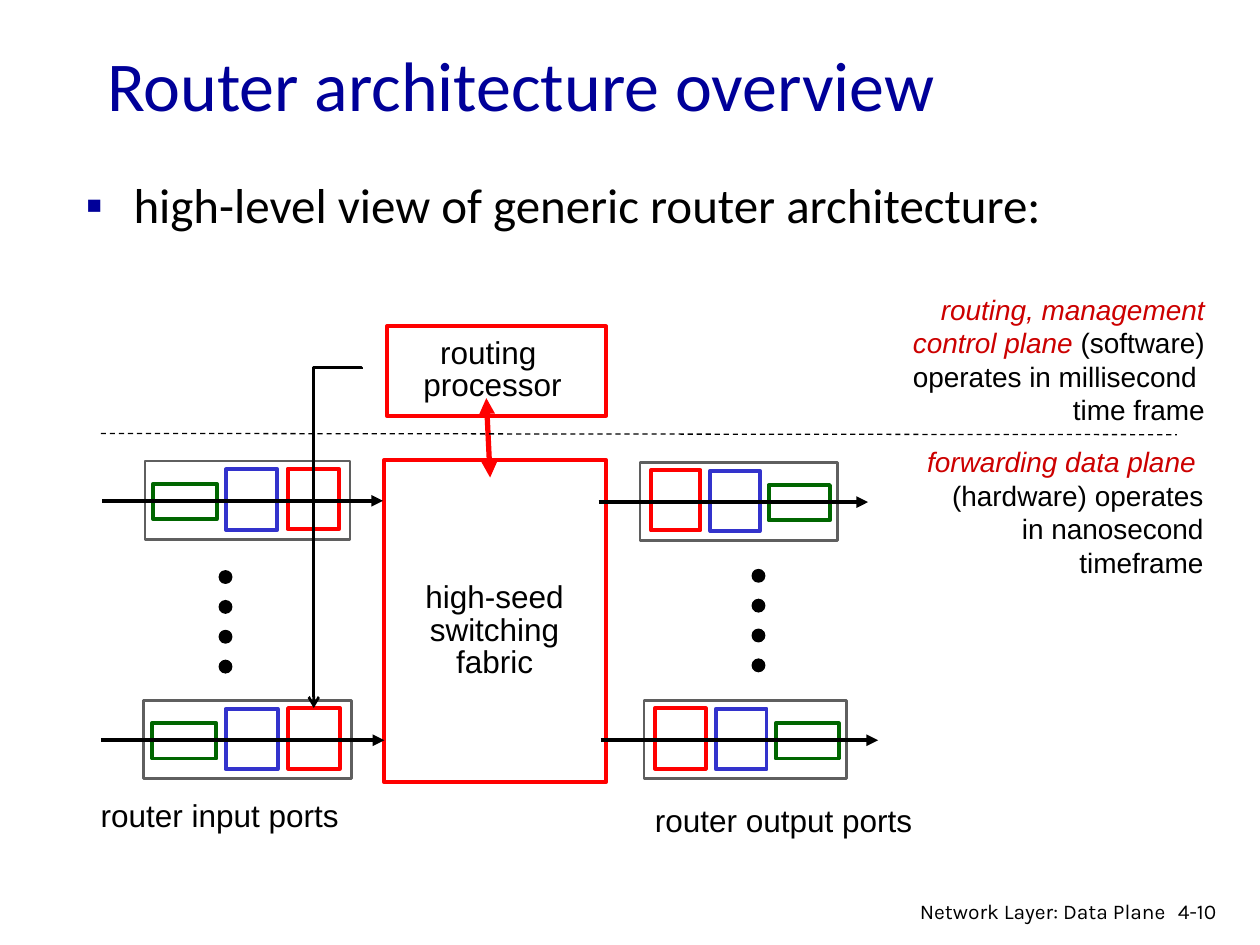
from typing import NamedTuple

from lxml.etree import SubElement
from pptx import Presentation
from pptx.dml.color import RGBColor
from pptx.enum.dml import MSO_LINE
from pptx.enum.shapes import MSO_CONNECTOR, MSO_SHAPE
from pptx.enum.text import MSO_ANCHOR, MSO_AUTO_SIZE, PP_ALIGN
from pptx.oxml.ns import qn
from pptx.util import Emu, Inches, Pt

COLS, ROWS = 100, 75
BLACK, WHITE, RED, NAVY = "000000", "FFFFFF", "FF0000", "000099"
GRAY, GREEN, BLUE, CRIMSON = "5F5F5F", "006600", "3333CC", "CC0000"
LEFT, MID, RIGHT = PP_ALIGN.LEFT, PP_ALIGN.CENTER, PP_ALIGN.RIGHT

deck = Presentation()
deck.slide_width, deck.slide_height = Inches(10), Inches(7.5)
slide = deck.slides.add_slide(deck.slide_layouts[1])
shapes = slide.shapes


class Area(NamedTuple):
    """A region in grid columns and rows."""
    x: float
    y: float
    w: float
    h: float


class Span(NamedTuple):
    """A run of text with its colour and slant."""
    text: str
    color: str = BLACK
    italic: bool = False


class Part(NamedTuple):
    """A stage of a port: shares of its width, then rows."""
    x: float
    w: float
    y: float
    h: float
    color: str


class Port(NamedTuple):
    """A port with the ends of the arrow through it."""
    x: float
    y: float
    w: float
    start: float
    end: float
    mirror: bool


PARTS = [
    Part(0.04, 0.31, 1.8, 2.8, GREEN),
    Part(0.395, 0.25, 0.65, 4.8, BLUE),
    Part(0.695, 0.25, 0.6, 4.8, RED),
]
PORTS = [
    Port(11.5, 36.6, 16.3, 8.1, 30.4, False),
    Port(11.4, 55.6, 16.5, 8, 30.5, False),
    Port(50.8, 36.7, 15.7, 47.5, 68.9, True),
    Port(51.1, 55.6, 16.1, 47.7, 69.7, True),
]


def col(n: float) -> Emu:
    """Turn grid columns into a length."""
    return Emu(round(deck.slide_width * n / COLS))


def row(n: float) -> Emu:
    """Turn grid rows into a length."""
    return Emu(round(deck.slide_height * n / ROWS))


def place(area: Area) -> tuple:
    """Turn a region into left, top, width and height."""
    return col(area.x), row(area.y), col(area.w), row(area.h)


def paint(target, color: str) -> None:
    """Give a fill or a font a solid colour."""
    fill = target.fill if hasattr(target, "fill") else target
    fill.solid()
    fill.fore_color.rgb = RGBColor.from_string(color)


def form(area: Area, edge: str, width: float, fill: str = WHITE,
         kind=MSO_SHAPE.RECTANGLE):
    """Draw a filled and outlined shape."""
    shape = shapes.add_shape(kind, *place(area))
    shape.shadow.inherit = False
    paint(shape.fill, fill)
    paint(shape.line, edge)
    shape.line.width = Pt(width)
    return shape


def wire(x1: float, y1: float, x2: float, y2: float, color: str, width: float,
         head: str = "", tail: str = "", kind=MSO_CONNECTOR.STRAIGHT):
    """Draw a connector with optional arrowheads."""
    link = shapes.add_connector(kind, col(x1), row(y1), col(x2), row(y2))
    paint(link.line, color)
    link.line.width = Pt(width)
    pen = link.line._get_or_add_ln()
    for tag, style in (("a:headEnd", head), ("a:tailEnd", tail)):
        if style:
            SubElement(pen, qn(tag), type=style)
    SubElement(link._element.spPr, qn("a:effectLst"))
    return link


def write(frame, lines: list[list[Span]], size: float, font: str = "Arial",
          align=LEFT, gap: float = 1.0) -> None:
    """Fill a text frame run by run."""
    for i, line in enumerate(lines):
        para = frame.add_paragraph() if i else frame.paragraphs[0]
        para.alignment, para.line_spacing = align, gap
        para.space_before = Pt(0)
        for span in line:
            run = para.add_run()
            run.text = span.text
            run.font.name, run.font.size = font, Pt(size)
            run.font.italic = span.italic
            run.font.bold = False
            paint(run.font, span.color)


def label(area: Area, lines: list[list[Span]], size: float, wrap: bool = True,
          **style) -> None:
    """Add a text box."""
    frame = shapes.add_textbox(*place(area)).text_frame
    frame.word_wrap = wrap
    write(frame, lines, size, **style)


def holder(shape, area: Area, text: Span, size: float, gap: float = 1.0):
    """Move and fill a placeholder."""
    shape.left, shape.top, shape.width, shape.height = place(area)
    frame = shape.text_frame
    frame.auto_size = MSO_AUTO_SIZE.NONE
    write(frame, [[text]], size, "Calibri", LEFT, gap)
    return frame


def bullet(para, mark: str, color: str, indent: float) -> None:
    """Give a paragraph a coloured bullet and a hanging indent."""
    props = para._p.get_or_add_pPr()
    props.set("marL", str(col(indent)))
    props.set("indent", str(-col(indent)))
    tint = SubElement(props, qn("a:buClr"))
    SubElement(tint, qn("a:srgbClr"), val=color)
    SubElement(props, qn("a:buFont"), typeface="Arial")
    SubElement(props, qn("a:buChar"), char=mark)


def port(p: Port) -> None:
    """Draw a port, its stages and the arrow through it."""
    form(Area(p.x, p.y, p.w, 6.2), GRAY, 1.5)
    for part in PARTS:
        share = 1 - part.x - part.w if p.mirror else part.x
        area = Area(p.x + share * p.w, p.y + part.y, part.w * p.w, part.h)
        form(area, part.color, 2.25)
    mid = p.y + 3.15
    wire(p.start, mid, p.end, mid, BLACK, 2.25, tail="triangle")


def dots(x: float, y: float) -> None:
    """Draw a column of four dots."""
    for i in range(4):
        form(Area(x, y + i * 2.37, 1, 1), BLACK, 0.75, BLACK, MSO_SHAPE.OVAL)


def elbow() -> None:
    """Draw the bent arrow from the processor to an input port."""
    link = wire(13.3, 40.8, 40.3, 44.6, BLACK, 1.5, tail="arrow",
                kind=MSO_CONNECTOR.ELBOW)
    link._element.spPr.find(qn("a:xfrm")).set("rot", "5400000")
    guides = link._element.spPr.find(qn("a:prstGeom")).find(qn("a:avLst"))
    SubElement(guides, qn("a:gd"), name="adj1", fmla="val -100")


def main() -> None:
    """Build and save the slide."""
    title = holder(shapes.title, Area(7.5, 3.3, 85, 6.7),
                   Span("Router architecture overview", NAVY), 40)
    title.vertical_anchor = MSO_ANCHOR.MIDDLE
    body = holder(slide.placeholders[1], Area(5.8, 14.1, 85, 6.4),
                  Span("high-level view of generic router architecture:"), 28, 0.85)
    bullet(body.paragraphs[0], "▪", NAVY, 3.8)

    form(Area(30.5, 36.5, 17.6, 25.6), RED, 2.25)
    label(Area(32.5, 45.8, 13.5, 8.8),
          [[Span("high-seed ")], [Span("switching")], [Span("fabric")]],
          18, False, align=MID, gap=0.85)
    form(Area(30.7, 25.9, 17.4, 7.1), RED, 2.25)
    label(Area(32.6, 26.4, 13, 6.1), [[Span("routing ")], [Span("processor")]],
          18, False, align=MID, gap=0.85)
    wire(38.6, 31.6, 38.9, 37.9, RED, 3, "triangle", "triangle")

    for item in PORTS:
        port(item)
    dots(17.4, 45.3)
    dots(59.7, 45.2)
    label(Area(7, 62.7, 20.9, 4), [[Span("router input ports")]], 18, False)
    label(Area(51, 63.1, 22.4, 4), [[Span("router output ports")]], 18, False)

    split = wire(8, 34.4, 93.4, 34.5, BLACK, 0.75)
    split.line.dash_style = MSO_LINE.DASH
    label(Area(72.6, 34.8, 23.9, 11.8),
          [[Span("forwarding data plane  ", CRIMSON, True),
            Span("(hardware) operates in nanosecond timeframe")]], 16, align=RIGHT)
    label(Area(65.1, 22.7, 31.5, 11.8),
          [[Span("routing, management", CRIMSON, True)],
           [Span("control plane ", CRIMSON, True), Span("(software)")],
           [Span("operates in millisecond ")], [Span("time frame")]], 16, align=RIGHT)
    elbow()

    label(Area(92.5, 70.8, 6.1, 3), [[Span("4-10")]], 12, font="Karla")
    label(Area(69.7, 70.8, 23.8, 2.6), [[Span("Network Layer: Data Plane")]],
          12, font="Karla", align=RIGHT)
    deck.save("out.pptx")


if __name__ == "__main__":
    main()
